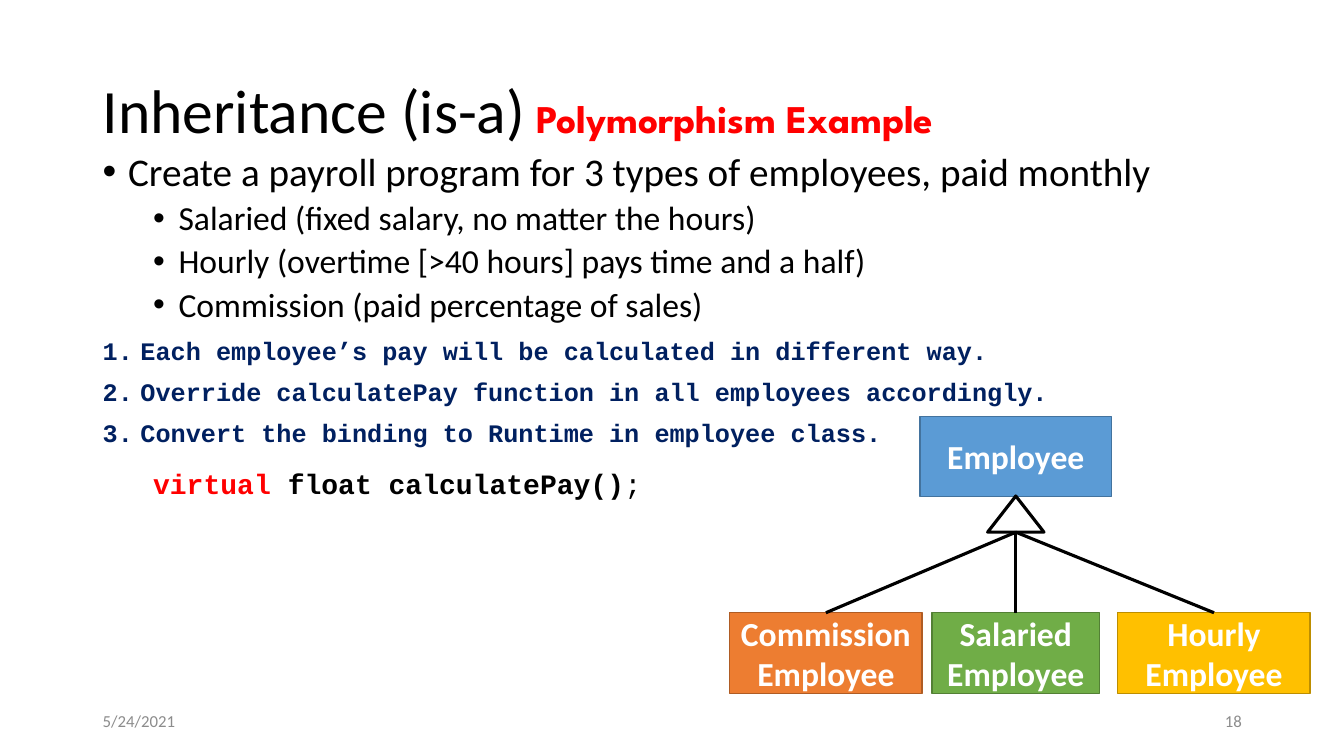
"""Build the payroll inheritance slide with its class diagram."""
from lxml import etree
from pptx import Presentation
from pptx.dml.color import RGBColor
from pptx.enum import shapes, text
from pptx.oxml import ns
from pptx.util import Cm, Pt

BLACK, RED, NAVY, GREY, WHITE = "000000", "FF0000", "002060", "8C8C8C", "FFFFFF"
MONO = "Courier New"
BULLET = (("a:buFont", {"typeface": "Arial"}), ("a:buChar", {"char": "•"}))
NUMBER = (("a:buFont", {"typeface": MONO}),
          ("a:buAutoNum", {"type": "arabicPeriod"}))


def rgb(value):
    """Return the colour for a hex string."""
    return RGBColor.from_string(value)


def add_run(p, words, size, color=BLACK, font="Calibri", bold=False):
    """Add one formatted run to a paragraph."""
    r = p.add_run()
    r.text = words
    r.font.size, r.font.name, r.font.bold = Pt(size), font, bold
    r.font.color.rgb = rgb(color)


def add_text(s, left, top, width, height, anchor=text.MSO_ANCHOR.MIDDLE):
    """Add a wrapping text box and return its text frame."""
    tf = s.shapes.add_textbox(Cm(left), Cm(top), Cm(width), Cm(height)).text_frame
    tf.word_wrap = True
    tf.vertical_anchor = anchor
    return tf


def format_item(p, before, margin, indent=0, level=0, marker=()):
    """Set the spacing, indents and list marker of a body paragraph."""
    p.level, p.line_spacing, p.space_before = level, 0.9, Pt(before)
    props = p._p.get_or_add_pPr()
    props.set("marL", str(Cm(margin)))
    props.set("indent", str(Cm(indent)))
    for tag, attributes in marker:
        etree.SubElement(props, ns.qn(tag), attributes)


def add_body(s):
    """Add the bulleted task, the numbered steps and the code line."""
    tf = add_text(s, 2.34, 3.71, 28.17, 13.94, text.MSO_ANCHOR.TOP)
    p = tf.paragraphs[0]
    format_item(p, 10, 0.64, -0.64, marker=BULLET)
    add_run(p, "Create a payroll program for 3 types of employees, paid monthly", 28)
    for kind in ("Salaried (fixed salary, no matter the hours)",
                 "Hourly (overtime [>40 hours] pays time and a half)",
                 "Commission (paid percentage of sales)"):
        p = tf.add_paragraph()
        format_item(p, 5, 1.91, -0.64, 1, BULLET)
        add_run(p, kind, 24)
    for step in ("Each employee’s pay will be calculated in different way.",
                 "Override calculatePay function in all employees accordingly.",
                 "Convert the binding to Runtime in employee class."):
        p = tf.add_paragraph()
        format_item(p, 10, 0.95, -0.95, marker=NUMBER)
        add_run(p, step, 18, NAVY, MONO, True)
    p = tf.add_paragraph()
    format_item(p, 16, 1.27, level=1)
    add_run(p, "virtual", 20, RED, MONO, True)
    add_run(p, " float calculatePay()", 20, BLACK, MONO, True)
    add_run(p, ";", 20, BLACK, MONO)


def add_shape(s, kind, box, fill, line, weight):
    """Add a filled and outlined preset shape."""
    sp = s.shapes.add_shape(kind, *(Cm(n) for n in box))
    sp.shadow.inherit = False
    sp.fill.solid()
    sp.fill.fore_color.rgb = rgb(fill)
    sp.line.color.rgb = rgb(line)
    sp.line.width = Pt(weight)
    return sp


def add_class(s, lines, left, top, width, fill, line):
    """Add a class box with one paragraph per line of its name."""
    sp = add_shape(s, shapes.MSO_SHAPE.RECTANGLE, (left, top, width, 2.03),
                   fill, line, 1)
    tf = sp.text_frame
    tf.word_wrap = True
    tf.vertical_anchor = text.MSO_ANCHOR.MIDDLE
    for i, words in enumerate(lines):
        p = tf.add_paragraph() if i else tf.paragraphs[0]
        p.alignment = text.PP_ALIGN.CENTER
        add_run(p, words, 24, WHITE, bold=True)
    return sp


def add_link(s, child, x, y):
    """Join the top of a child class to a point."""
    c = s.shapes.add_connector(shapes.MSO_CONNECTOR.STRAIGHT, 0, 0, x, y)
    c.begin_connect(child, 0)
    c.line.color.rgb = rgb(BLACK)
    c.line.width = Pt(2.25)
    etree.SubElement(c._element.spPr, ns.qn("a:effectLst"))


def add_diagram(s):
    """Add the base class, its inheritance arrow and the derived classes."""
    add_class(s, ["Employee"], 23.19, 10.49, 4.82, "5B9BD5", "43739E")
    arrow = add_shape(s, shapes.MSO_SHAPE.ISOSCELES_TRIANGLE,
                      (24.89, 12.5, 1.42, 0.91), WHITE, BLACK, 2.25)
    for lines, left, width, fill, line in (
            (["Salaried Employee"], 23.49, 4.22, "70AD47", "538035"),
            (["Hourly Employee"], 28.17, 4.85, "FFC000", "BD8E00"),
            (["Commission", "Employee"], 18.39, 4.85, "ED7D31", "AF5C24")):
        child = add_class(s, lines, left, 15.44, width, fill, line)
        add_link(s, child, arrow.left + arrow.width // 2, arrow.top + arrow.height)


def main():
    """Create and save the slide."""
    prs = Presentation()
    prs.slide_width, prs.slide_height = Cm(33.87), Cm(19.05)
    s = prs.slides.add_slide(prs.slide_layouts[6])
    p = add_text(s, 2.34, 1.02, 29.21, 3.68).paragraphs[0]
    p.line_spacing = 0.9
    add_run(p, "Inheritance (is-a)", 44)
    add_run(p, " Polymorphism Example", 28, RED, "League Spartan", True)
    for words, left, align in (("5/24/2021", 2.34, text.PP_ALIGN.LEFT),
                               ("18", 23.93, text.PP_ALIGN.RIGHT)):
        p = add_text(s, left, 17.65, 7.62, 1.02).paragraphs[0]
        p.alignment = align
        add_run(p, words, 12, GREY)
    add_body(s)
    add_diagram(s)
    prs.save("out.pptx")


if __name__ == "__main__":
    main()
